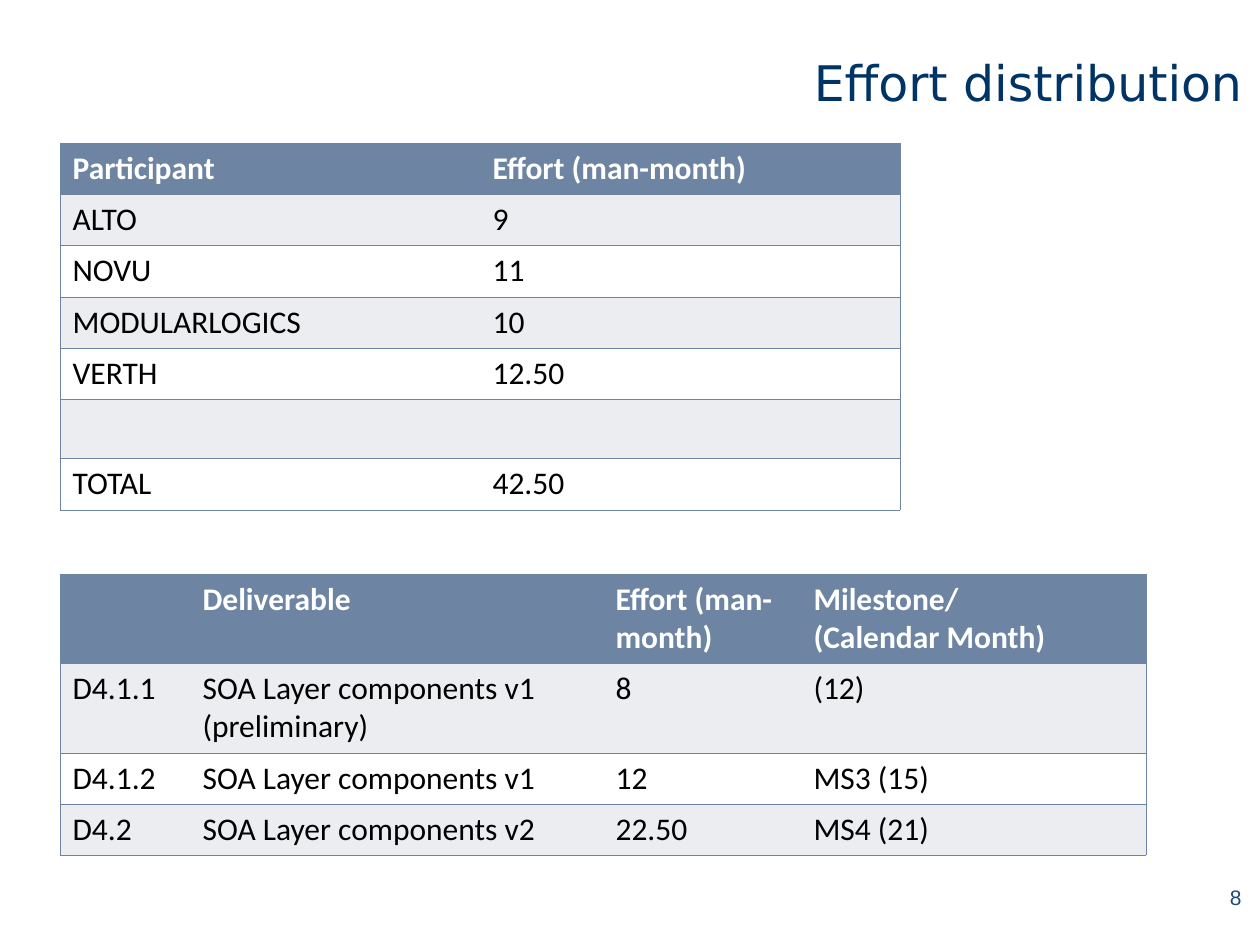
from dataclasses import dataclass

import pptx
import pptx.dml.color
import pptx.enum.text
import pptx.oxml
import pptx.oxml.ns
import pptx.util

EMU_PER_PX = 914400 / 126
COLORS = {
    "title": "003366",
    "number": "1F497D",
    "header": "6D85A2",
    "band": "EBEDF0",
    "white": "FFFFFF",
    "black": "000000",
}
BORDER_POINTS = 0.45


@dataclass(frozen=True)
class TableSpec:
    left: int
    top: int
    widths: list[int]
    heights: list[int]
    rows: list[list[str]]


PARTICIPANTS = TableSpec(
    left=60, top=143,
    widths=[420, 420],
    heights=[51, 51, 52, 51, 51, 59, 52],
    rows=[
        ["Participant", "Effort (man-month)"],
        ["ALTO", "9"],
        ["NOVU", "11"],
        ["MODULARLOGICS", "10"],
        ["VERTH", "12.50"],
        ["", ""],
        ["TOTAL", "42.50"],
    ],
)
DELIVERABLES = TableSpec(
    left=60, top=574,
    widths=[130, 413, 198, 345],
    heights=[89, 90, 51, 51],
    rows=[
        ["", "Deliverable", "Effort (man-month)", "Milestone/\n(Calendar Month)"],
        ["D4.1.1", "SOA Layer components v1 (preliminary)", "8", "(12)"],
        ["D4.1.2", "SOA Layer components v1", "12", "MS3 (15)"],
        ["D4.2", "SOA Layer components v2", "22.50", "MS4 (21)"],
    ],
)


def px(length: int) -> int:
    return round(length * EMU_PER_PX)


def rgb(name: str) -> pptx.dml.color.RGBColor:
    return pptx.dml.color.RGBColor.from_string(COLORS[name])


def add_span(para, text: str, font: str, size: int, color: str, bold: bool = False) -> None:
    span = para.add_run()
    span.text = text
    span.font.name = font
    span.font.size = pptx.util.Pt(size)
    span.font.bold = bold
    span.font.color.rgb = rgb(color)


def set_borders(cell, left: bool, right: bool) -> None:
    """Rule the top and bottom of a cell, and its outer sides if asked."""
    properties = cell._tc.get_or_add_tcPr()
    width = pptx.util.Pt(BORDER_POINTS)
    sides = {"lnL": left, "lnR": right, "lnT": True, "lnB": True}
    for index, (tag, visible) in enumerate(sides.items()):
        paint = "<a:noFill/>"
        if visible:
            paint = f'<a:solidFill><a:srgbClr val="{COLORS["header"]}"/></a:solidFill>'
        line = pptx.oxml.parse_xml(
            f'<a:{tag} {pptx.oxml.ns.nsdecls("a")} w="{width}">{paint}</a:{tag}>'
        )
        properties.insert(index, line)


def add_grid(page, spec: TableSpec) -> None:
    frame = page.shapes.add_table(
        len(spec.heights), len(spec.widths), px(spec.left), px(spec.top),
        px(sum(spec.widths)), px(sum(spec.heights)),
    )
    table = frame.table
    table.first_row = False
    table.horz_banding = False
    for column, width in zip(table.columns, spec.widths):
        column.width = px(width)
    for row, height in zip(table.rows, spec.heights):
        row.height = px(height)
    last_column = len(spec.widths) - 1
    for row_index, texts in enumerate(spec.rows):
        is_header = row_index == 0
        fill = "header" if is_header else ("band" if row_index % 2 else "white")
        for column_index, text in enumerate(texts):
            cell = table.cell(row_index, column_index)
            cell.fill.solid()
            cell.fill.fore_color.rgb = rgb(fill)
            set_borders(cell, column_index == 0, column_index == last_column)
            if not text:
                continue
            for line_index, line in enumerate(text.split("\n")):
                body = cell.text_frame
                para = body.add_paragraph() if line_index else body.paragraphs[0]
                add_span(para, line, "Calibri", 18,
                         "white" if is_header else "black", is_header)


def set_title(page, text: str) -> None:
    box = page.shapes.title
    box.left, box.top, box.width, box.height = px(489), px(16), px(753), px(102)
    body = box.text_frame
    body.margin_left = body.margin_top = body.margin_right = body.margin_bottom = 0
    body.vertical_anchor = pptx.enum.text.MSO_ANCHOR.MIDDLE
    body.auto_size = pptx.enum.text.MSO_AUTO_SIZE.NONE
    para = body.paragraphs[0]
    para.alignment = pptx.enum.text.PP_ALIGN.RIGHT
    para.line_spacing = 1.5
    para.space_before = pptx.util.Pt(7)
    add_span(para, text, "DejaVu Sans", 28, "title")


def add_page_number(page, text: str) -> None:
    box = page.shapes.add_textbox(px(1176), px(872), px(78), px(50))
    body = box.text_frame
    body.word_wrap = True
    body.vertical_anchor = pptx.enum.text.MSO_ANCHOR.MIDDLE
    para = body.paragraphs[0]
    para.alignment = pptx.enum.text.PP_ALIGN.RIGHT
    add_span(para, text, "Arial", 12, "number")


def main() -> None:
    deck = pptx.Presentation()
    deck.slide_width, deck.slide_height = px(1260), px(945)
    page = deck.slides.add_slide(deck.slide_layouts.get_by_name("Title Only"))
    add_page_number(page, "8")
    set_title(page, "Effort distribution")
    for spec in (PARTICIPANTS, DELIVERABLES):
        add_grid(page, spec)
    deck.save("out.pptx")


if __name__ == "__main__":
    main()
